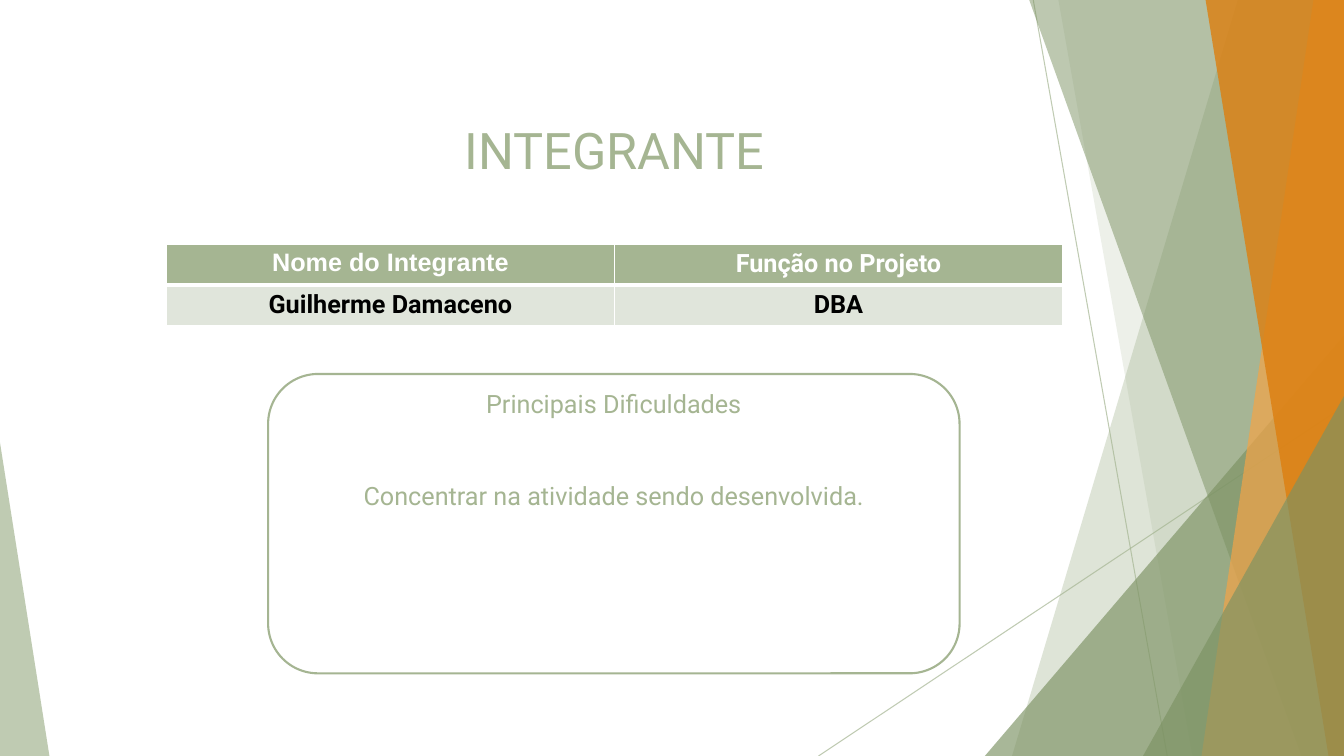
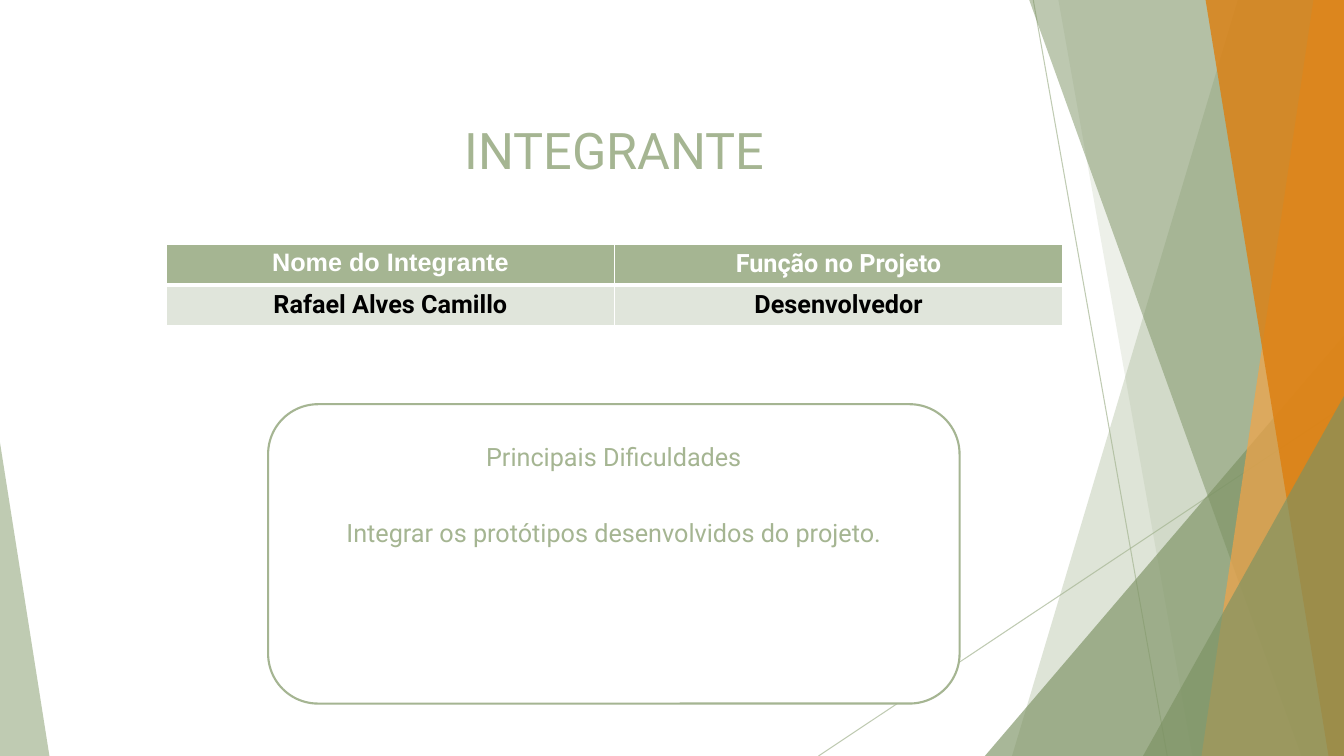
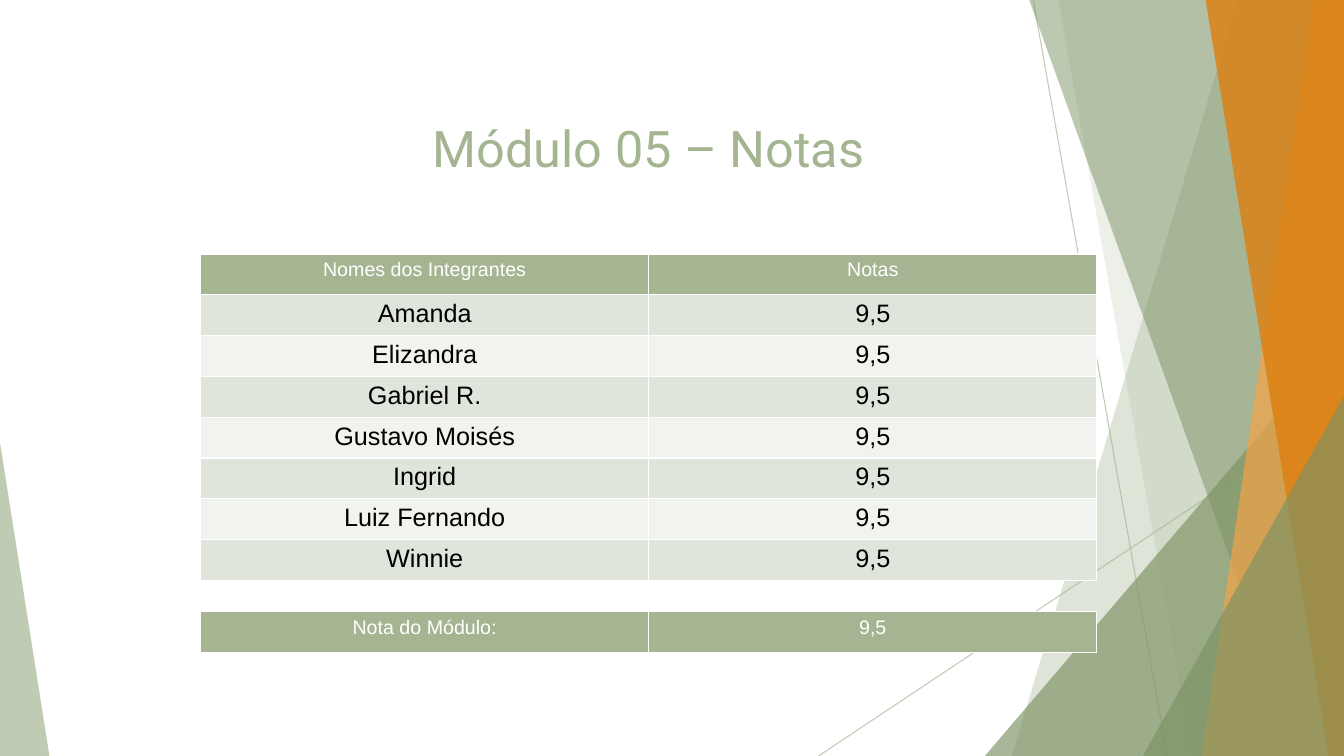
from dataclasses import dataclass

from lxml import etree
from pptx import Presentation
from pptx.dml.color import RGBColor
from pptx.enum.shapes import MSO_CONNECTOR, MSO_SHAPE
from pptx.enum.text import MSO_ANCHOR, PP_ALIGN
from pptx.oxml.ns import qn
from pptx.util import Emu, Inches, Pt

SAGE = RGBColor(0xA5, 0xB5, 0x92)
MOSS = RGBColor(0x7C, 0x92, 0x63)
APRICOT = RGBColor(0xF3, 0xA4, 0x47)
ORANGE = RGBColor(0xDD, 0x7E, 0x0E)
MIST = RGBColor(0xE0, 0xE5, 0xDB)
PALE = RGBColor(0xF0, 0xF3, 0xEE)
WHITE = RGBColor(0xFF, 0xFF, 0xFF)
BLACK = RGBColor(0, 0, 0)

STRAIGHT = MSO_CONNECTOR.STRAIGHT
TRIANGLE = MSO_SHAPE.ISOSCELES_TRIANGLE
ROUNDED = MSO_SHAPE.ROUNDED_RECTANGLE
CENTER = PP_ALIGN.CENTER
TOP, MIDDLE = MSO_ANCHOR.TOP, MSO_ANCHOR.MIDDLE

HEADING_FONT, TABLE_FONT = "Roboto", "Arial"
TABLE_WIDTH, ROW_HEIGHT = 66.68, 5.4


@dataclass
class RowStyle:
    fill: RGBColor
    color: RGBColor
    size: int = 18
    bold: bool = False
    fonts: tuple = (TABLE_FONT, TABLE_FONT)


MEMBER_HEAD = RowStyle(SAGE, WHITE, bold=True, fonts=(TABLE_FONT, HEADING_FONT))
MEMBER_ROW = RowStyle(MIST, BLACK, bold=True, fonts=(HEADING_FONT, HEADING_FONT))
GRADE_HEAD = RowStyle(SAGE, WHITE, size=14)
GRADE_ROWS = (RowStyle(MIST, BLACK), RowStyle(PALE, BLACK))


class Deck:
    """Holds the style and the current slide; lengths are percent of the slide."""

    def __init__(self):
        self.prs = Presentation()
        self.prs.slide_width, self.prs.slide_height = Inches(13.33), Inches(7.5)
        self.slide = None

    def x(self, share):
        return Emu(round(self.prs.slide_width * share / 100))

    def y(self, share):
        return Emu(round(self.prs.slide_height * share / 100))

    def area(self, left, top, width, height):
        return self.x(left), self.y(top), self.x(width), self.y(height)

    def new_slide(self, title, left, top):
        self.slide = self.prs.slides.add_slide(self.prs.slide_layouts[6])
        self.backdrop()
        self.title(title, left, top)

    # Backdrop of translucent facets
    def backdrop(self):
        self.hairline(76.88, 0, 86.85, 100)
        self.hairline(100, 53.73, 60.9, 100)
        self.facet(92.1, 75.3, SAGE, 36)
        self.facet(78.75, 88.73, SAGE, 20)
        self.triangle(73.28, 44.4, 26.72, 1, MOSS, 66)
        self.facet(76.58, 96.83, MOSS, 50)
        self.facet(97.73, 89.4, APRICOT, 70)
        self.facet(89.7, 98.85, ORANGE, 80)
        self.triangle(85.05, 52.4, 14.95, 1, MOSS, 66)
        self.triangle(0, 58.53, 3.68, 0, SAGE, 70)

    def fade(self, shape, opacity):
        color = next(shape.element.iter(qn("a:srgbClr")))
        etree.SubElement(color, qn("a:alpha"), val=str(opacity * 1000))

    def tint(self, shape, color, opacity):
        shape.shadow.inherit = False
        shape.fill.solid()
        shape.fill.fore_color.rgb = color
        shape.line.fill.background()
        self.fade(shape, opacity)

    def hairline(self, x1, y1, x2, y2):
        line = self.slide.shapes.add_connector(
            STRAIGHT, self.x(x1), self.y(y1), self.x(x2), self.y(y2))
        line.line.color.rgb = SAGE
        line.line.width = Pt(0.75)
        self.fade(line, 70)
        etree.SubElement(line.element.spPr, qn("a:effectLst"))

    def facet(self, top_x, bottom_x, color, opacity):
        """Full-height facet from a slanted left edge to the slide's right edge."""
        outline = self.slide.shapes.build_freeform(self.x(top_x), 0)
        right, bottom = self.x(100), self.y(100)
        outline.add_line_segments(
            [(right, 0), (right, bottom), (self.x(bottom_x), bottom)], close=True)
        self.tint(outline.convert_to_shape(), color, opacity)

    def triangle(self, left, top, width, apex, color, opacity):
        corner = self.slide.shapes.add_shape(
            TRIANGLE, *self.area(left, top, width, 100 - top))
        corner.adjustments[0] = apex
        self.tint(corner, color, opacity)

    # Text
    def set_text(self, paragraph, text, size, color, font=HEADING_FONT, bold=False):
        paragraph.text = text
        paragraph.alignment = CENTER
        paragraph.font.size = Pt(size)
        paragraph.font.name = font
        paragraph.font.bold = bold
        paragraph.font.color.rgb = color

    def title(self, text, left, top):
        frame = self.slide.shapes.add_textbox(
            *self.area(left, top, 79.73, 9.47)).text_frame
        frame.word_wrap = True
        frame.vertical_anchor = MIDDLE
        self.set_text(frame.paragraphs[0], text, 36, SAGE)

    def panel(self, top, heading, body, inset, gap):
        panel = self.slide.shapes.add_shape(
            ROUNDED, *self.area(19.95, top, 51.45, 39.6))
        panel.shadow.inherit = False
        panel.fill.solid()
        panel.fill.fore_color.rgb = WHITE
        panel.line.color.rgb = SAGE
        panel.line.width = Pt(1.5)
        frame = panel.text_frame
        frame.word_wrap = True
        frame.vertical_anchor = TOP
        frame.margin_top = self.y(inset)
        self.set_text(frame.paragraphs[0], heading, 18, SAGE)
        detail = frame.add_paragraph()
        self.set_text(detail, body, 18, SAGE)
        detail.space_before = Pt(gap)

    # Tables
    def border(self, cell, side, width):
        edge = etree.SubElement(cell._tc.get_or_add_tcPr(), qn("a:ln" + side),
                                w=str(int(Pt(width))))
        fill = etree.SubElement(edge, qn("a:solidFill"))
        etree.SubElement(fill, qn("a:srgbClr"), val=str(WHITE))

    def table(self, left, top, rows, styles, head_rule=1):
        table = self.slide.shapes.add_table(
            len(rows), 2,
            *self.area(left, top, TABLE_WIDTH, ROW_HEIGHT * len(rows))).table
        table.first_row = table.horz_banding = False
        for r, (values, style) in enumerate(zip(rows, styles)):
            table.rows[r].height = self.y(ROW_HEIGHT)
            rules = {"L": 1, "R": 1, "T": head_rule if r == 1 else 1,
                     "B": head_rule if r == 0 else 1}
            for c, (value, font) in enumerate(zip(values, style.fonts)):
                cell = table.cell(r, c)
                for side, width in rules.items():
                    self.border(cell, side, width)
                cell.fill.solid()
                cell.fill.fore_color.rgb = style.fill
                self.set_text(cell.text_frame.paragraphs[0], value, style.size,
                              style.color, font, style.bold)


def member_slide(deck, name, role, difficulty, panel_top, inset, gap):
    deck.new_slide("INTEGRANTE", 5.85, 15.07)
    deck.table(12.38, 32.27,
               [("Nome do Integrante", "Função no Projeto"), (name, role)],
               [MEMBER_HEAD, MEMBER_ROW], head_rule=3)
    deck.panel(panel_top, "Principais Dificuldades", difficulty, inset, gap)


def grades_slide(deck):
    deck.new_slide("Módulo 05 – Notas", 8.4, 14.8)
    members = ["Amanda", "Elizandra", "Gabriel R.", "Gustavo Moisés",
               "Ingrid", "Luiz Fernando", "Winnie"]
    grade = "9,5"
    rows = [("Nomes dos Integrantes", "Notas")] + [(m, grade) for m in members]
    styles = [GRADE_HEAD] + [GRADE_ROWS[i % 2] for i in range(len(members))]
    deck.table(14.93, 33.6, rows, styles)
    deck.table(14.93, 80.93, [("Nota do Módulo:", grade)], [GRADE_HEAD])


def main():
    deck = Deck()
    member_slide(deck, "Guilherme Damaceno", "DBA",
                 "Concentrar na atividade sendo desenvolvida.", 49.47, 0, 44)
    member_slide(deck, "Rafael Alves Camillo", "Desenvolvedor",
                 "Integrar os protótipos desenvolvidos do projeto.", 53.47, 3, 32.5)
    grades_slide(deck)
    deck.prs.save("out.pptx")


if __name__ == "__main__":
    main()
